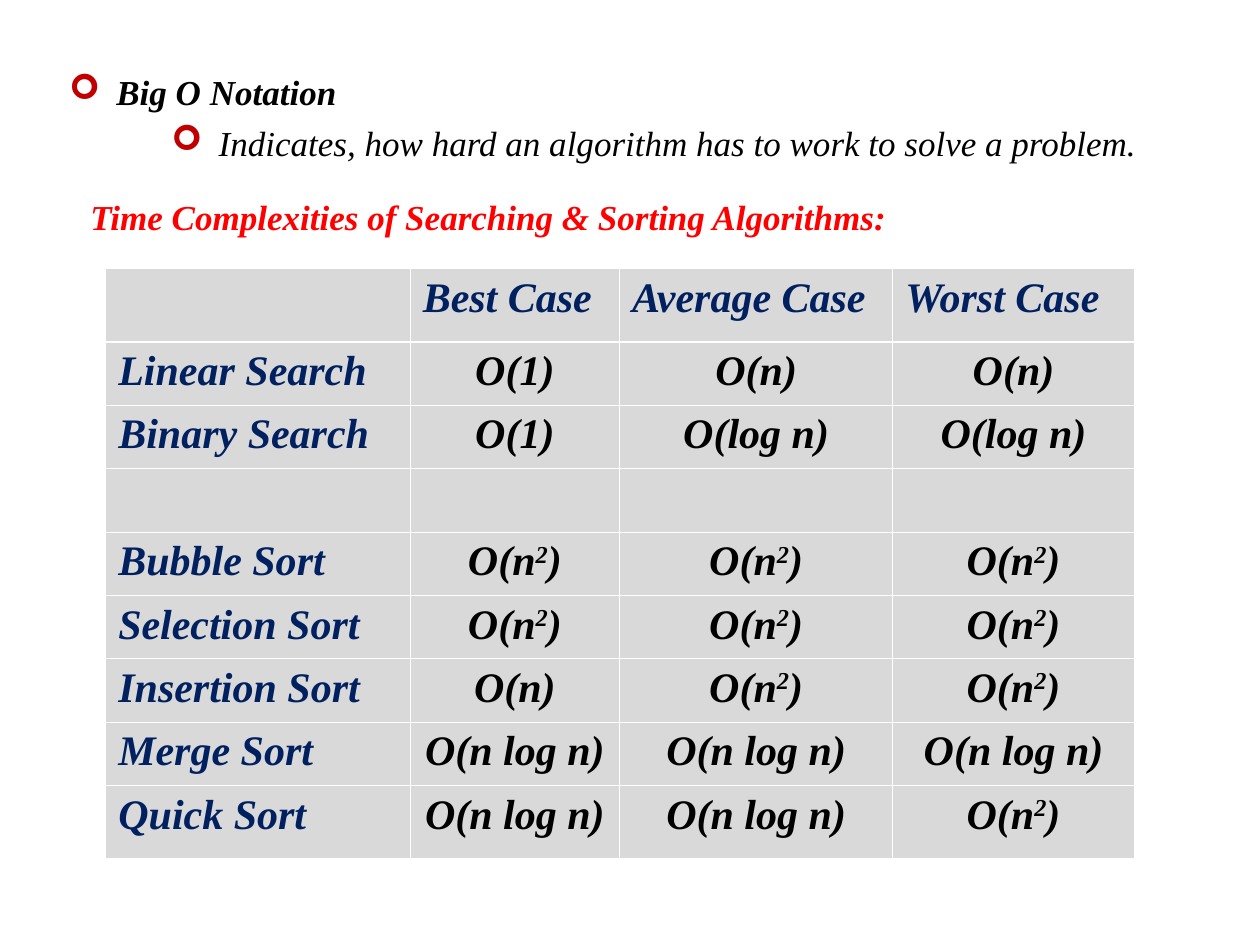
from lxml.etree import SubElement
from pptx import Presentation
from pptx.dml.color import RGBColor
from pptx.enum.text import MSO_AUTO_SIZE, PP_ALIGN
from pptx.oxml.ns import qn
from pptx.util import Pt

NAVY, BLACK, RED, DARK_RED = "002060", "000000", "FF0000", "C00000"
GREY, WHITE = "D9D9D9", "FFFFFF"
THIN, THICK = 0.45, 1.47

COLUMN_WIDTHS = [174, 119.6, 156.2, 138]
ROW_HEIGHTS = [42] + [36.2] * 7 + [42]

# A caret marks the following digit as superscript
COMPLEXITIES = [
    ["", "Best Case", "Average Case", "Worst Case"],
    ["Linear Search", "O(1)", "O(n)", "O(n)"],
    ["Binary Search", "O(1)", "O(log n)", "O(log n)"],
    ["", "", "", ""],
    ["Bubble Sort", "O(n^2)", "O(n^2)", "O(n^2)"],
    ["Selection Sort", "O(n^2)", "O(n^2)", "O(n^2)"],
    ["Insertion Sort", "O(n)", "O(n^2)", "O(n^2)"],
    ["Merge Sort", "O(n log n)", "O(n log n)", "O(n log n)"],
    ["Quick Sort", "O(n log n)", "O(n log n)", "O(n^2)"],
]


def color(value):
    return RGBColor.from_string(value)


def add_span(para, text, size, hue, bold=True, superscript=False):
    span = para.add_run()
    span.text = text
    formats = {"name": "Times New Roman", "size": Pt(size), "bold": bold, "italic": True}
    for name, value in formats.items():
        setattr(span.font, name, value)
    span.font.color.rgb = color(hue)
    if superscript:
        span.font._element.set("baseline", "30000")


def add_text_box(page, left, top, width, height):
    box = page.shapes.add_textbox(Pt(left), Pt(top), Pt(width), Pt(height))
    formats = {"word_wrap": False, "auto_size": MSO_AUTO_SIZE.SHAPE_TO_FIT_TEXT}
    for name, value in formats.items():
        setattr(box.text_frame, name, value)
    return box.text_frame


def add_bullet(para, margin, hanging):
    properties = para._p.get_or_add_pPr()
    properties.set("marL", str(Pt(margin)))
    properties.set("indent", str(-Pt(hanging)))
    bullet_color = SubElement(properties, qn("a:buClr"))
    SubElement(bullet_color, qn("a:srgbClr"), val=DARK_RED)
    SubElement(properties, qn("a:buFont"), typeface="Wingdings")
    SubElement(properties, qn("a:buChar"), char="➢")


def add_borders(cell, widths):
    properties = cell._tc.get_or_add_tcPr()
    for side, width in widths.items():
        line = SubElement(properties, qn(f"a:ln{side}"), w=str(Pt(width)))
        fill = SubElement(line, qn("a:solidFill"))
        SubElement(fill, qn("a:srgbClr"), val=WHITE)


def fill_cell(cell, text, row, column):
    add_borders(cell, {
        "L": THIN,
        "R": THIN,
        "T": THICK if row == 1 else THIN,
        "B": THICK if row == 0 else THIN,
    })
    cell.fill.solid()
    cell.fill.fore_color.rgb = color(GREY)
    if not text:
        return
    is_label = row == 0 or column == 0
    para = cell.text_frame.paragraphs[0]
    if not is_label:
        para.alignment = PP_ALIGN.CENTER
    hue = NAVY if is_label else BLACK
    base, _, rest = text.partition("^")
    add_span(para, base, 24, hue)
    if rest:
        add_span(para, rest[0], 24, hue, superscript=True)
        add_span(para, rest[1:], 24, hue)


def add_complexity_table(page, left, top):
    frame = page.shapes.add_table(
        len(ROW_HEIGHTS), len(COLUMN_WIDTHS), Pt(left), Pt(top),
        Pt(sum(COLUMN_WIDTHS)), Pt(sum(ROW_HEIGHTS)))
    table = frame.table
    for name in ("first_row", "horz_banding"):
        setattr(table, name, False)
    for column, width in zip(table.columns, COLUMN_WIDTHS):
        column.width = Pt(width)
    for row, height in zip(table.rows, ROW_HEIGHTS):
        row.height = Pt(height)
    for row, texts in enumerate(COMPLEXITIES):
        for column, text in enumerate(texts):
            fill_cell(table.cell(row, column), text, row, column)


def main():
    deck = Presentation()
    deck.slide_width, deck.slide_height = Pt(720), Pt(540)
    page = deck.slides.add_slide(deck.slide_layouts[6])

    # Complexity table
    add_complexity_table(page, 60.4, 153.4)

    # Table heading
    heading = add_text_box(page, 44.6, 108, 471, 31.5)
    add_span(heading.paragraphs[0],
             "Time Complexities of Searching & Sorting Algorithms:", 20, RED)

    # Definition
    definition = add_text_box(page, 32.4, 36.7, 625.7, 60.5)
    topic = definition.paragraphs[0]
    add_bullet(topic, 27, 27)
    add_span(topic, "Big O Notation", 20, BLACK)
    detail = definition.add_paragraph()
    detail.level = 1
    add_bullet(detail, 85.5, 27)
    detail.space_before = Pt(5)
    add_span(detail, "Indicates, how hard an algorithm has to work to solve a problem.",
             20, BLACK, bold=False)

    deck.save("out.pptx")


if __name__ == "__main__":
    main()
